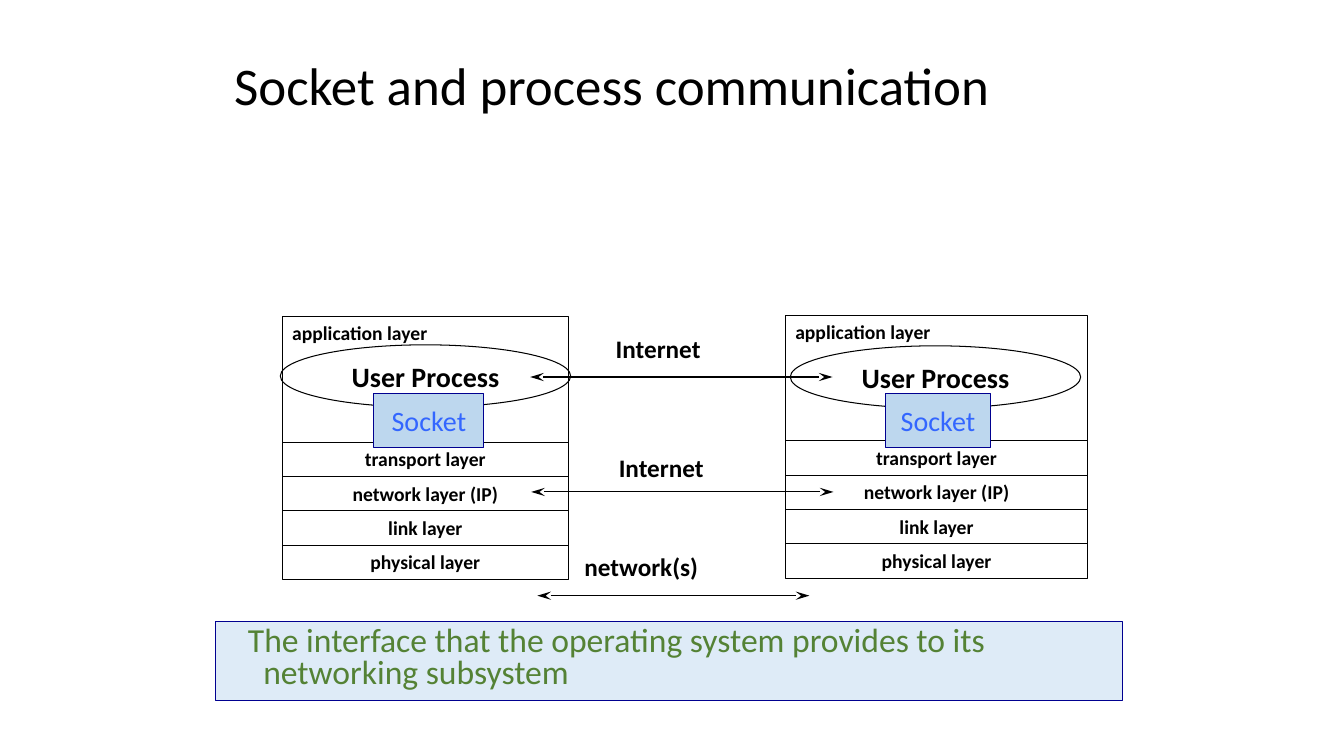
"""Build the slide about sockets and process communication."""
from dataclasses import dataclass

from pptx import Presentation
from pptx.dml.color import RGBColor
from pptx.enum.shapes import MSO_CONNECTOR, MSO_SHAPE
from pptx.enum.text import MSO_ANCHOR, MSO_AUTO_SIZE, PP_ALIGN
from pptx.oxml.ns import qn
from pptx.util import Pt
from lxml import etree


@dataclass(frozen=True)
class Theme:
    font: str = "Calibri"
    black: str = "000000"
    navy: str = "000090"
    blue: str = "3366FF"
    green: str = "548235"
    socket: str = "BDD7EE"
    note: str = "DEEBF7"
    title_size: float = 37.8
    note_size: float = 24
    process_size: float = 20
    label_size: float = 18
    layer_size: float = 14
    line: float = 0.75


class Deck:
    def __init__(self, slide, theme):
        self.s = slide
        self.t = theme

    def text(self, sp, text, size, color, bold=False, align=PP_ALIGN.LEFT,
             anchor=MSO_ANCHOR.TOP):
        tf = sp.text_frame
        tf.word_wrap = True
        tf.auto_size = MSO_AUTO_SIZE.NONE
        tf.vertical_anchor = anchor
        p = tf.paragraphs[0]
        p.text = text
        p.alignment = align
        p.space_before = Pt(0)
        font = p.font
        font.name, font.size, font.bold = self.t.font, Pt(size), bold
        font.color.rgb = RGBColor.from_string(color)
        return p

    def title(self, text, x, y, w, h):
        sp = self.s.shapes.title
        sp.left, sp.top, sp.width, sp.height = Pt(x), Pt(y), Pt(w), Pt(h)
        p = self.text(sp, text, self.t.title_size, self.t.black,
                      anchor=MSO_ANCHOR.MIDDLE)
        p.line_spacing = 0.9

    def box(self, kind, x, y, w, h, fill=None, line=None):
        sp = self.s.shapes.add_shape(kind, Pt(x), Pt(y), Pt(w), Pt(h))
        sp.shadow.inherit = False
        if fill:
            sp.fill.solid()
            sp.fill.fore_color.rgb = RGBColor.from_string(fill)
        else:
            sp.fill.background()
        sp.line.color.rgb = RGBColor.from_string(line or self.t.black)
        sp.line.width = Pt(self.t.line)
        return sp

    def layer(self, text, x, y, w, h, align=PP_ALIGN.CENTER):
        sp = self.box(MSO_SHAPE.RECTANGLE, x, y, w, h)
        self.text(sp, text, self.t.layer_size, self.t.black, True, align)

    def stack(self, x, y, w):
        app_h, row_h = 90, 24.5
        self.layer("application layer", x, y, w, app_h, PP_ALIGN.LEFT)
        names = ("transport layer", "network layer (IP)", "link layer", "physical layer")
        for i, name in enumerate(names):
            self.layer(name, x, y + app_h + i * row_h, w, row_h)

    def process(self, x, y):
        sp = self.box(MSO_SHAPE.OVAL, x, y, 207.4, 44.6)
        self.text(sp, "User Process", self.t.process_size, self.t.black, True,
                  PP_ALIGN.CENTER, MSO_ANCHOR.MIDDLE)

    def socket(self, x, w):
        sp = self.box(MSO_SHAPE.RECTANGLE, x, 280.8, w, 38.9, self.t.socket, self.t.navy)
        self.text(sp, "Socket", self.t.process_size, self.t.blue,
                  align=PP_ALIGN.CENTER, anchor=MSO_ANCHOR.MIDDLE)

    def arrow(self, x1, x2, y):
        c = self.s.shapes.add_connector(MSO_CONNECTOR.STRAIGHT, Pt(x1), Pt(y), Pt(x2), Pt(y))
        c.line.color.rgb = RGBColor.from_string(self.t.black)
        c.line.width = Pt(self.t.line)
        ln = c.line._get_or_add_ln()
        for end in ("a:headEnd", "a:tailEnd"):
            etree.SubElement(ln, qn(end), type="stealth", w="med", len="lg")
        etree.SubElement(c._element.spPr, qn("a:effectLst"))

    def label(self, text, x, y, w):
        sp = self.s.shapes.add_textbox(Pt(x), Pt(y), Pt(w), Pt(29.5))
        self.text(sp, text, self.t.label_size, self.t.black, True)

    def note(self, text, x, y, w, h):
        sp = self.box(MSO_SHAPE.RECTANGLE, x, y, w, h, self.t.note, self.t.navy)
        p = self.text(sp, text, self.t.note_size, self.t.green)
        p.line_spacing = 0.8
        pPr = p._p.get_or_add_pPr()
        pPr.set("marL", str(Pt(27)))
        pPr.set("indent", str(Pt(-11)))


def main():
    prs = Presentation()
    prs.slide_width, prs.slide_height = Pt(960), Pt(540)
    deck = Deck(prs.slides.add_slide(prs.slide_layouts[5]), Theme())

    deck.title("Socket and process communication", 160, 18, 630.7, 90)
    deck.note("The interface that the operating system provides to its networking subsystem",
              154, 444.2, 648, 56.2)
    deck.stack(561, 225, 216)
    deck.stack(201.6, 226, 204.5)
    deck.process(200.2, 246.3)
    deck.process(564.5, 247)
    for text, x, y, w, x1, x2, line_y in (
        ("Internet", 432.7, 234.7, 80.6, 378.7, 594.7, 269.3),
        ("Internet", 434.9, 319.7, 80.6, 379.4, 595.4, 351.4),
        ("network(s)", 410.4, 390.2, 148.3, 383.8, 578.2, 425.5),
    ):
        deck.arrow(x1, x2, line_y)
        deck.label(text, x, y, w)
    deck.socket(267.1, 78.5)
    deck.socket(632.2, 75.6)
    prs.save("out.pptx")


if __name__ == "__main__":
    main()
